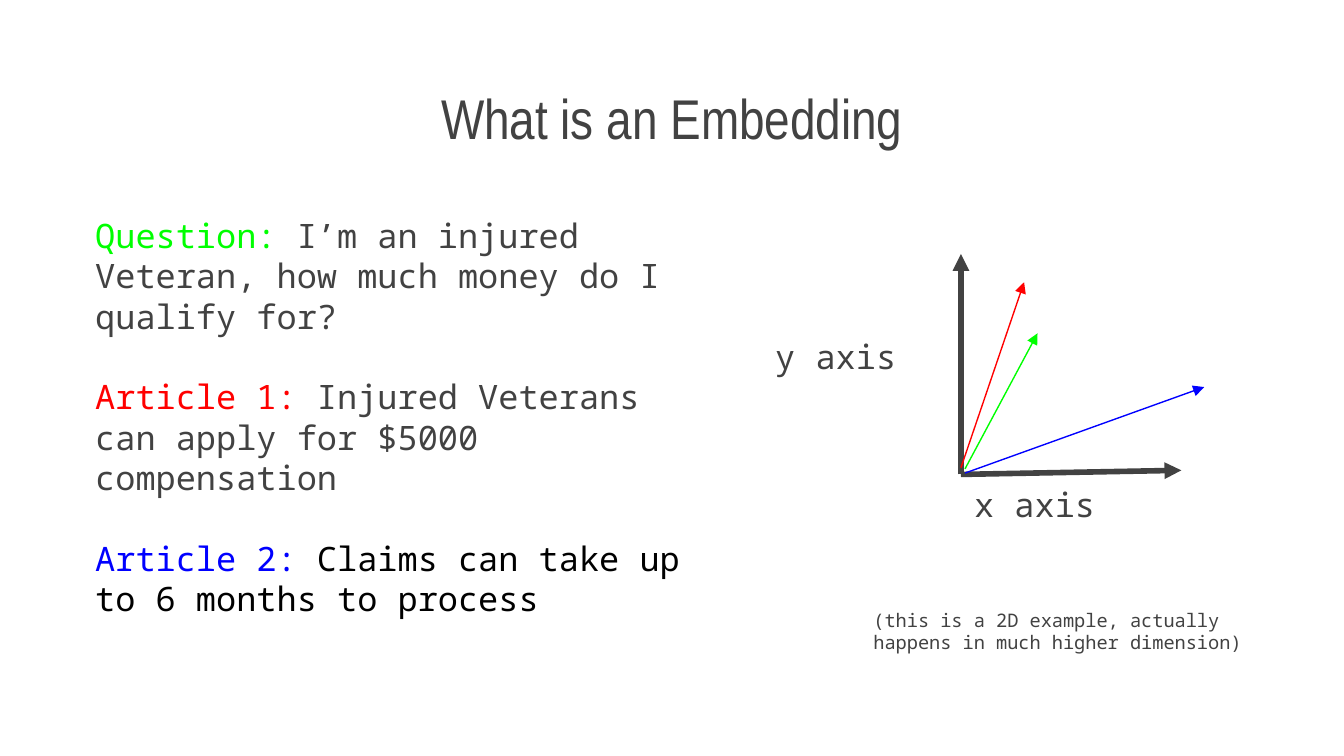
from lxml.etree import SubElement
from pptx import Presentation
from pptx.dml.color import RGBColor
from pptx.enum.shapes import MSO_CONNECTOR
from pptx.enum.text import MSO_ANCHOR, PP_ALIGN
from pptx.oxml.ns import qn
from pptx.util import Inches, Pt

GRAY = RGBColor(0x42, 0x42, 0x42)
BLACK = RGBColor(0, 0, 0)
GREEN = RGBColor(0, 255, 0)
RED = RGBColor(255, 0, 0)
BLUE = RGBColor(0, 0, 255)
HEADING_FONT, BODY_FONT = "Arial Narrow", "Noto Sans Mono"
BLANK_LINE = 21.6

# Content: each paragraph is a list of (text, colour) runs
title = [[("What is an Embedding", GRAY)]]
examples = [
    [("Question:", GREEN),
     (" I’m an injured Veteran, how much money do I qualify for?", GRAY)],
    [("Article 1:", RED),
     (" Injured Veterans can apply for $5000 compensation", GRAY)],
    [("Article 2: ", BLUE),
     ("Claims can take up to 6 months to process", BLACK)],
]
x_label = [[("x axis", GRAY)]]
y_label = [[("y axis", GRAY)]]
footnote = [[("(this is a 2D example, actually happens in much higher dimension)",
              GRAY)]]

# Arrows: start, end (percent of slide width and height), colour, points
origin = (71.5, 62.76)
axes = [
    (origin, (71.5, 33.6), GRAY, 3),
    (origin, (87.9, 62.22), GRAY, 3),
]
vectors = [
    ((71.5, 61.87), (76.2, 37.33), RED, 0.75),
    ((71.8, 62.58), (89.6, 51.2), BLUE, 0.75),
    ((71.8, 62.04), (77.2, 44.09), GREEN, 0.75),
]

# A 16:9 slide
deck = Presentation()
deck.slide_width = Inches(10)
deck.slide_height = deck.slide_width * 9 // 16
slide = deck.slides.add_slide(deck.slide_layouts[6])


def place(*percents):
    """Turn alternating x, y percentages into slide lengths."""
    sides = (deck.slide_width, deck.slide_height) * 2
    return [round(side * share / 100) for side, share in zip(sides, percents)]


def add_text(area, paragraphs, size, font=BODY_FONT,
             align=PP_ALIGN.LEFT, anchor=MSO_ANCHOR.TOP):
    frame = slide.shapes.add_textbox(*place(*area)).text_frame
    frame.word_wrap = True
    frame.vertical_anchor = anchor
    frame.margin_left = frame.margin_right = Inches(0.1)
    frame.margin_top = frame.margin_bottom = Inches(0.1)
    for index, runs in enumerate(paragraphs):
        paragraph = frame.add_paragraph() if index else frame.paragraphs[0]
        paragraph.alignment = align
        if index:
            paragraph.space_before = Pt(BLANK_LINE)
        paragraph.font.name = font
        paragraph.font.size = Pt(size)
        for text, color in runs:
            run = paragraph.add_run()
            run.text = text
            run.font.color.rgb = color


def add_arrow(start, end, color, width):
    arrow = slide.shapes.add_connector(
        MSO_CONNECTOR.STRAIGHT, *place(*start, *end))
    arrow.line.color.rgb = color
    arrow.line.width = Pt(width)
    properties = arrow._element.spPr
    SubElement(properties.find(qn("a:ln")), qn("a:tailEnd"), type="triangle")
    SubElement(properties, qn("a:effectLst"))


# Title and example texts
add_text((3.4, 7.47, 93.2, 14.22), title, 30, HEADING_FONT,
         PP_ALIGN.CENTER, MSO_ANCHOR.BOTTOM)
add_text((6.1, 26.67, 46.9, 52.09), examples, 18)

# Plot: axes, their labels and the vectors
for axis in axes:
    add_arrow(*axis)
add_text((71.5, 62.22, 15, 10.13), x_label, 18)
add_text((56.7, 42.67, 24, 10.13), y_label, 18)
for vector in vectors:
    add_arrow(*vector)

# Footnote
add_text((64, 78.76, 30.1, 17.96), footnote, 10)

deck.save("out.pptx")
